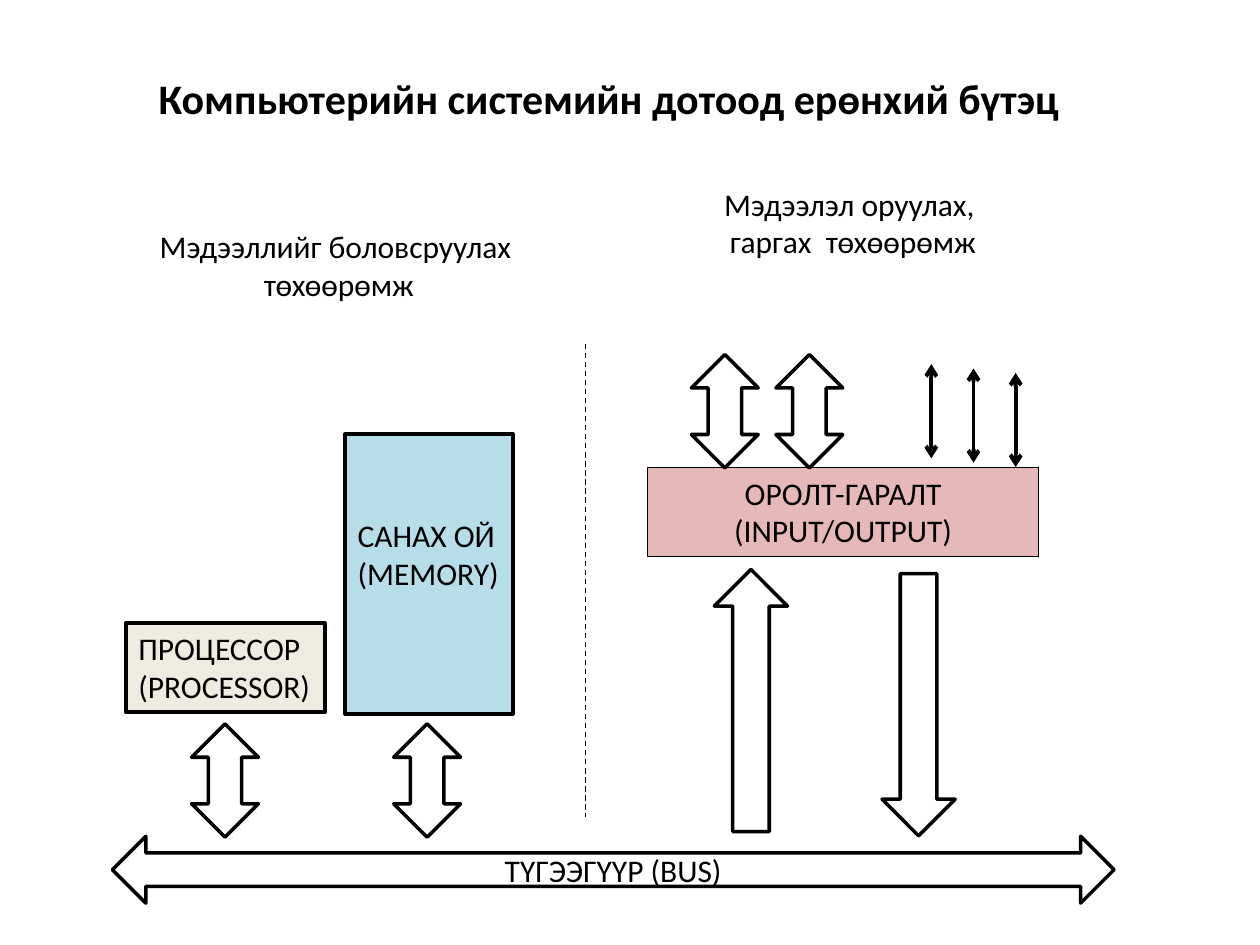
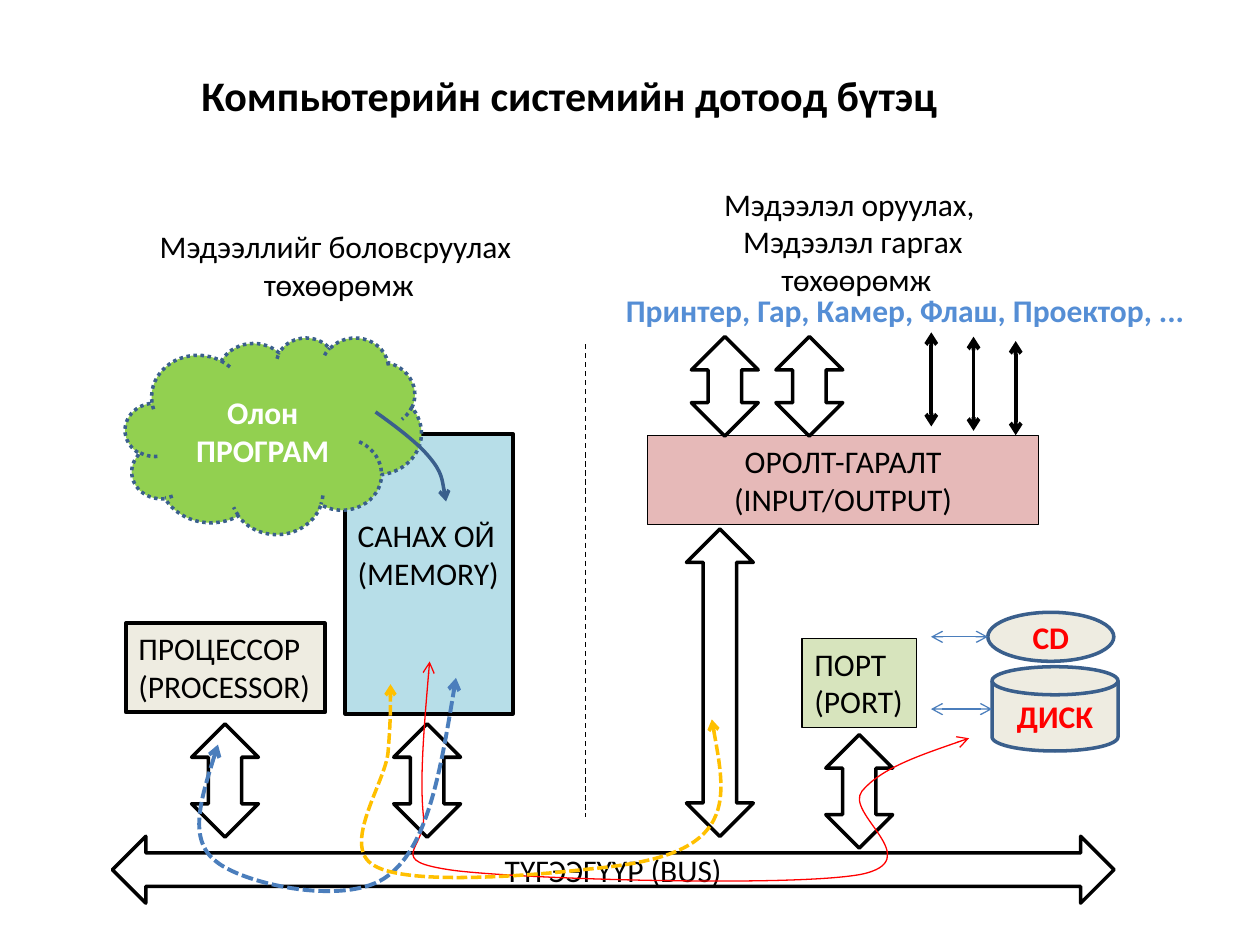
from lxml import etree
from pptx import Presentation
from pptx.dml.color import RGBColor
from pptx.enum.dml import MSO_LINE as DASH
from pptx.enum.shapes import MSO_CONNECTOR, MSO_SHAPE as SHAPE
from pptx.enum.text import MSO_ANCHOR as ANCHOR, PP_ALIGN as ALIGN
from pptx.oxml.ns import qn
from pptx.util import Pt

COLORS = {
    "black": "000000", "white": "FFFFFF", "red": "FF0000", "cream": "EEECE1",
    "pink": "E6B9B8", "aqua": "B7DEE8", "olive": "D7E4BD", "green": "92D050",
    "navy": "3A5F8C", "blue": "4B7EBC", "sky": "558ED5", "gold": "FFC000",
}
FONT = "Calibri"
ARROW_WIDTH = 38.2


def write(shape, lines, align=ALIGN.CENTER, size=18, color="black", bold=False, wrap=False):
    frame = shape.text_frame
    frame.word_wrap = wrap
    for index, line in enumerate(lines):
        para = frame.add_paragraph() if index else frame.paragraphs[0]
        para.alignment = align
        span = para.add_run()
        span.text = line
        span.font.name, span.font.size, span.font.bold = FONT, Pt(size), bold
        span.font.color.rgb = RGBColor.from_string(COLORS[color])


def stroke(shape, color="black", width=2, dash=None, heads=()):
    """Style an outline; heads lists the ends ("headEnd", "tailEnd") that get an arrow."""
    shape.line.color.rgb = RGBColor.from_string(COLORS[color])
    shape.line.width = Pt(width)
    if dash:
        shape.line.dash_style = dash
    for head in heads:
        etree.SubElement(shape.line._get_or_add_ln(), qn("a:" + head), type="arrow")


BOTH_ENDS = ("headEnd", "tailEnd")
BOLD_RED = dict(color="red", bold=True, wrap=True)
TITLE = dict(align=ALIGN.LEFT, size=24, bold=True)

# Blocks: preset, (left, top, width, height), fill, outline, lines, text style
shared_blocks = [
    (SHAPE.RECTANGLE, (72, 356.1, 113.6, 51), "cream", dict(width=2.25),
     ["ПРОЦЕССОР", "(PROCESSOR)"], dict(align=ALIGN.LEFT)),
    (SHAPE.RECTANGLE, (197.3, 248, 95.8, 159.8), "aqua", dict(width=2.25),
     ["САНАХ ОЙ", "(MEMORY)"], dict(align=ALIGN.LEFT)),
    (SHAPE.LEFT_RIGHT_ARROW, (64.2, 477.9, 572.4, ARROW_WIDTH), None, {},
     ["ТҮГЭЭГҮҮР (BUS)"], dict(wrap=True)),
]
# Two-way arrows: centre x, centre y, length
shared_two_way = [(128.6, 446, 64.8), (244.1, 446, 64.8)]
shared_labels = [
    ((82.8, 126, 221.8, 51), ["Мэдээллийг боловсруулах ", "төхөөрөмж"], {}),
]

overview = dict(
    io_top=267.1, device_arrow=64.8, blocks=[], two_way=[], links=[], curves=[],
    one_way=[((504, 327.8, 41.8, 149.8), 0), ((408.2, 325.4, 41.8, 149.8), 180)],
    labels=[
        ((83.5, 37.7, 533.5, 36), ["Компьютерийн системийн дотоод ерөнхий бүтэц"], TITLE),
        ((405.7, 102, 163.4, 51), ["Мэдээлэл оруулах, ", "гаргах  төхөөрөмж"], {}),
    ],
)
data_flow = dict(
    io_top=248.9, device_arrow=56.9, one_way=[],
    blocks=[
        (SHAPE.RECTANGLE, (458.3, 364.8, 65.5, 51), "olive", dict(width=0.75),
         ["ПОРТ", "(PORT)"], dict(align=ALIGN.LEFT)),
        (SHAPE.CLOUD, (71.6, 192.8, 169.2, 112.3), "green",
         dict(color="navy", dash=DASH.ROUND_DOT), ["Олон ПРОГРАМ"],
         dict(color="white", bold=True, wrap=True)),
        (SHAPE.FLOWCHART_MAGNETIC_DISK, (566.9, 381, 72, 48.2), "cream",
         dict(color="navy"), ["ДИСК"], BOLD_RED),
        (SHAPE.OVAL, (564.5, 349.9, 72, 28), "cream", dict(color="navy"), ["CD"], BOLD_RED),
    ],
    two_way=[(411.4, 390.1, 175.7), (491, 452.2, 64.8)],
    links=[(532, 405.2, 566.9, 405.2), (532, 363.9, 564.5, 363.9)],
    labels=[
        ((108, 36, 438.5, 36), ["Компьютерийн системийн дотоод бүтэц"], TITLE),
        ((405.7, 102, 163.4, 72.7),
         ["Мэдээлэл оруулах, ", "Mэдээлэл гаргах", " төхөөрөмж"], {}),
        ((350.6, 162.7, 337, 28.8), ["Принтер, Гар, Камер, Флаш, Проектор, ..."],
         dict(align=ALIGN.LEFT, color="sky", bold=True)),
    ],
    # Curves: bounds, then start point and control, control, end for each Bézier piece
    curves=[
        ((236.2, 378, 317.5, 125.3),
         [(245.5, 378), (242.6, 411.8), (239.8, 445.7), (241.9, 465.8),
          (244.1, 485.3), (218.2, 491.8), (259.9, 497.5),
          (301.7, 502.6), (452.9, 506.9), (491.8, 499.7),
          (530.6, 491.8), (482.4, 465.1), (492.5, 452.2),
          (503.3, 439.2), (528.5, 430.6), (553.7, 421.9)],
         dict(color="red", width=0.75, heads=BOTH_ENDS)),
        ((114.5, 387.4, 146.2, 122.4),
         [(124.6, 425.5), (115.9, 452.9), (107.3, 480.2), (123.8, 492.5),
          (139.7, 505.4), (198.7, 518.4), (221.8, 500.4),
          (244.8, 483.1), (252.7, 434.9), (260.6, 387.4)],
         dict(color="blue", width=2.25, dash=DASH.SQUARE_DOT, heads=BOTH_ENDS)),
        ((214.6, 235.4, 40.3, 51.1),
         [(214.6, 235.4), (226.8, 244.1), (239, 253.4), (245.5, 261.4),
          (252.7, 270), (253.4, 278.6), (254.9, 286.6)],
         dict(color="navy", heads=("tailEnd",))),
        ((206.6, 391, 204.5, 110.9),
         [(406.8, 411.1), (411.1, 435.6), (416.2, 460.1), (403.9, 474.5),
          (391.7, 488.9), (366.5, 493.9), (334.8, 496.8),
          (303.1, 500.4), (232.6, 506.2), (213.8, 494.6),
          (194.4, 483.8), (220.3, 447.1), (221.8, 429.8),
          (223.2, 412.6), (223.2, 401.8), (223.2, 391)],
         dict(color="gold", dash=DASH.SQUARE_DOT, heads=BOTH_ENDS)),
    ],
)

deck = Presentation()
deck.slide_width, deck.slide_height = Pt(720), Pt(540)

for content in (overview, data_flow):
    page = deck.slides.add_slide(deck.slide_layouts[6])
    io_top, device_length = content["io_top"], content["device_arrow"]

    io_block = (SHAPE.RECTANGLE, (370, io_top, 223.6, 51), "pink", dict(width=0.75),
                ["ОРОЛТ-ГАРАЛТ", "(INPUT/OUTPUT)"], dict(wrap=True))
    blocks = [(*block, 0) for block in shared_blocks + [io_block]]
    devices = [(x, io_top + 0.3 - device_length / 2, device_length) for x in (414.2, 462.5)]
    for x, y, length in shared_two_way + devices + content["two_way"]:
        place = (x - length / 2, y - ARROW_WIDTH / 2, length, ARROW_WIDTH)
        blocks.append((SHAPE.LEFT_RIGHT_ARROW, place, None, {}, [], {}, 270))
    for place, turn in content["one_way"]:
        blocks.append((SHAPE.DOWN_ARROW, place, None, {}, [], {}, turn))
    blocks += [(*block, 0) for block in content["blocks"]]

    for kind, place, fill, outline, lines, style, turn in blocks:
        box = page.shapes.add_shape(kind, *map(Pt, place))
        box.rotation = turn
        box.shadow.inherit = False
        if fill:
            box.fill.solid()
            box.fill.fore_color.rgb = RGBColor.from_string(COLORS[fill])
        else:
            box.fill.background()
        stroke(box, **outline)
        write(box, lines, **style)
        box.text_frame.vertical_anchor = ANCHOR.MIDDLE
        if kind == SHAPE.RECTANGLE:
            box.text_frame.vertical_anchor = ANCHOR.TOP
        if fill == "aqua":
            box.text_frame.margin_top = Pt(46.8)

    thin = dict(color="blue", width=0.75, heads=BOTH_ENDS)
    links = [((334.4, 196.6, 334.4, 467.1), dict(width=0.75, dash=DASH.DASH))]
    links += [(ends, thin) for ends in content["links"]]
    for index in range(3):
        x, bottom = 532.2 + 24.1 * index, io_top - 5.2 + 2.5 * index
        links.append(((x, bottom, x, bottom - 53.8), dict(width=2.25, heads=BOTH_ENDS)))
    for ends, outline in links:
        link = page.shapes.add_connector(MSO_CONNECTOR.STRAIGHT, *map(Pt, ends))
        stroke(link, **outline)
        etree.SubElement(link._element.spPr, qn("a:effectLst"))

    for (left, top, width, height), points, outline in content["curves"]:
        builder = page.shapes.build_freeform(Pt(left), Pt(top))
        builder.add_line_segments([(Pt(left + width), Pt(top + height))], close=False)
        curve = builder.convert_to_shape()
        # Swap the diagonal for Bézier pieces inside the same bounds
        track = next(curve._element.iter(qn("a:path")))
        for segment in list(track):
            track.remove(segment)
        for index, (x, y) in enumerate(points):
            if index == 0:
                segment = etree.SubElement(track, qn("a:moveTo"))
            elif index % 3 == 1:
                segment = etree.SubElement(track, qn("a:cubicBezTo"))
            etree.SubElement(segment, qn("a:pt"), x=str(int(Pt(x - left))), y=str(int(Pt(y - top))))
        curve.shadow.inherit = False
        curve.fill.background()
        stroke(curve, **outline)

    for place, lines, style in shared_labels + content["labels"]:
        write(page.shapes.add_textbox(*map(Pt, place)), lines, **style)

deck.save("out.pptx")
